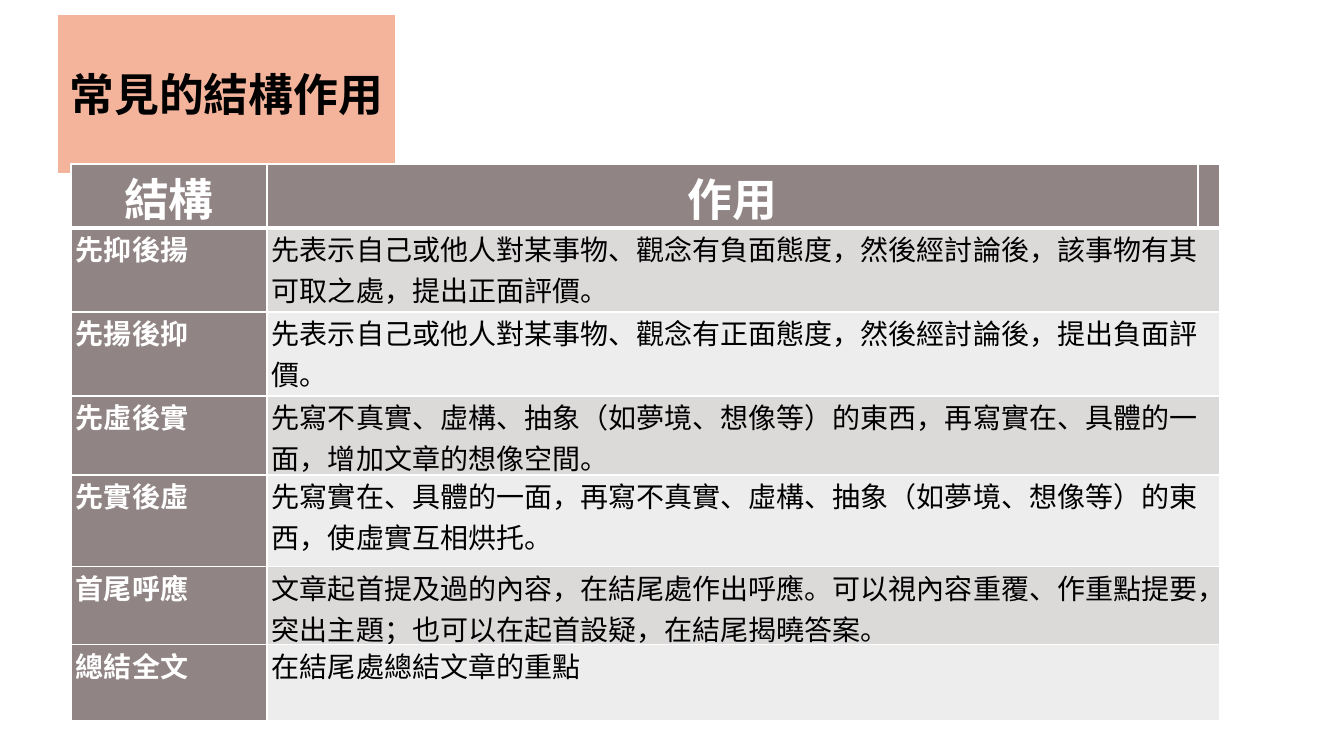
from lxml import etree
from pptx import Presentation
from pptx.dml.color import RGBColor
from pptx.enum.text import MSO_ANCHOR, MSO_AUTO_SIZE, PP_ALIGN
from pptx.oxml.ns import qn
from pptx.util import Pt

CENTER, LEFT = PP_ALIGN.CENTER, PP_ALIGN.LEFT
MIDDLE, TOP = MSO_ANCHOR.MIDDLE, MSO_ANCHOR.TOP
FIT_SHAPE = MSO_AUTO_SIZE.SHAPE_TO_FIT_TEXT

PX = 914400 / 100.8
WHITE, BLACK, PEACH, TAUPE = "FFFFFF", "000000", "F4B39B", "918485"
BANDS = ["DCD9D9", "EEEDED"]
COLUMN_WIDTHS = [196, 931, 22]
ROW_HEIGHTS = [64, 84, 84, 79, 92, 78, 76]
ROWS = [
    ("結構", "作用"),
    ("先抑後揚", "先表示自己或他人對某事物、觀念有負面態度，然後經討論後，該事物有其可取之處，提出正面評價。"),
    ("先揚後抑", "先表示自己或他人對某事物、觀念有正面態度，然後經討論後，提出負面評價。"),
    ("先虛後實", "先寫不真實、虛構、抽象（如夢境、想像等）的東西，再寫實在、具體的一面，增加文章的想像空間。"),
    ("先實後虛", "先寫實在、具體的一面，再寫不真實、虛構、抽象（如夢境、想像等）的東西，使虛實互相烘托。"),
    ("首尾呼應", "文章起首提及過的內容，在結尾處作出呼應。可以視內容重覆、作重點提要，突出主題；也可以在起首設疑，在結尾揭曉答案。"),
    ("總結全文", "在結尾處總結文章的重點"),
]


def px(*lengths):
    return [round(length * PX) for length in lengths]


def paint(color_owner, color):
    """Set a solid colour on a fill or a font."""
    if hasattr(color_owner, "solid"):
        color_owner.solid()
        color_owner.fore_color.rgb = RGBColor.from_string(color)
    else:
        color_owner.color.rgb = RGBColor.from_string(color)


presentation = Presentation()
presentation.slide_width, presentation.slide_height = px(1344, 756)
slide = presentation.slides.add_slide(presentation.slide_layouts[5])

title = slide.shapes.title
title.left, title.top, title.width, title.height = px(58, 62, 337, 64)
paint(title.fill, PEACH)
title_frame = title.text_frame
title_frame.text = "常見的結構作用"
title_frame.word_wrap = False
title_frame.auto_size = FIT_SHAPE
title_frame.vertical_anchor = MIDDLE
paragraph = title_frame.paragraphs[0]
paragraph.alignment = CENTER
paragraph.font.name = "Calibri"
paragraph.font.size = Pt(32)
paragraph.font.bold = True
paint(paragraph.font, BLACK)

table = slide.shapes.add_table(
    len(ROWS), len(COLUMN_WIDTHS),
    *px(71, 164, sum(COLUMN_WIDTHS), sum(ROW_HEIGHTS))).table
for column, width in zip(table.columns, px(*COLUMN_WIDTHS)):
    column.width = width
for row, height in zip(table.rows, px(*ROW_HEIGHTS)):
    row.height = height

for row_index, texts in enumerate(ROWS):
    is_header = row_index == 0
    for column_index, text in enumerate((*texts, "")):
        cell = table.cell(row_index, column_index)
        is_dark = is_header or column_index == 0
        cell.vertical_anchor = TOP
        cell.margin_left, cell.margin_right, cell.margin_top, cell.margin_bottom = px(5, 5, 0, 0)
        paint(cell.fill, TAUPE if is_dark else BANDS[(row_index - 1) % 2])

        cell_properties = cell._tc.get_or_add_tcPr()
        for position, side in enumerate(("lnL", "lnR", "lnT", "lnB")):
            under_header = (row_index, side) in ((0, "lnB"), (1, "lnT"))
            border = etree.Element(qn(f"a:{side}"), w=str(Pt(3 if under_header else 1)))
            border_fill = etree.SubElement(border, qn("a:solidFill"))
            etree.SubElement(border_fill, qn("a:srgbClr"), val=WHITE)
            cell_properties.insert(position, border)

        cell.text = text
        paragraph = cell.text_frame.paragraphs[0]
        paragraph.alignment = CENTER if is_header else LEFT
        paragraph.font.name = "Roboto Slab"
        paragraph.font.size = Pt(32 if is_header else 20)
        paragraph.font.bold = is_dark
        paint(paragraph.font, WHITE if is_dark else BLACK)
    if not is_header:
        table.cell(row_index, 1).merge(table.cell(row_index, 2))

presentation.save("out.pptx")
